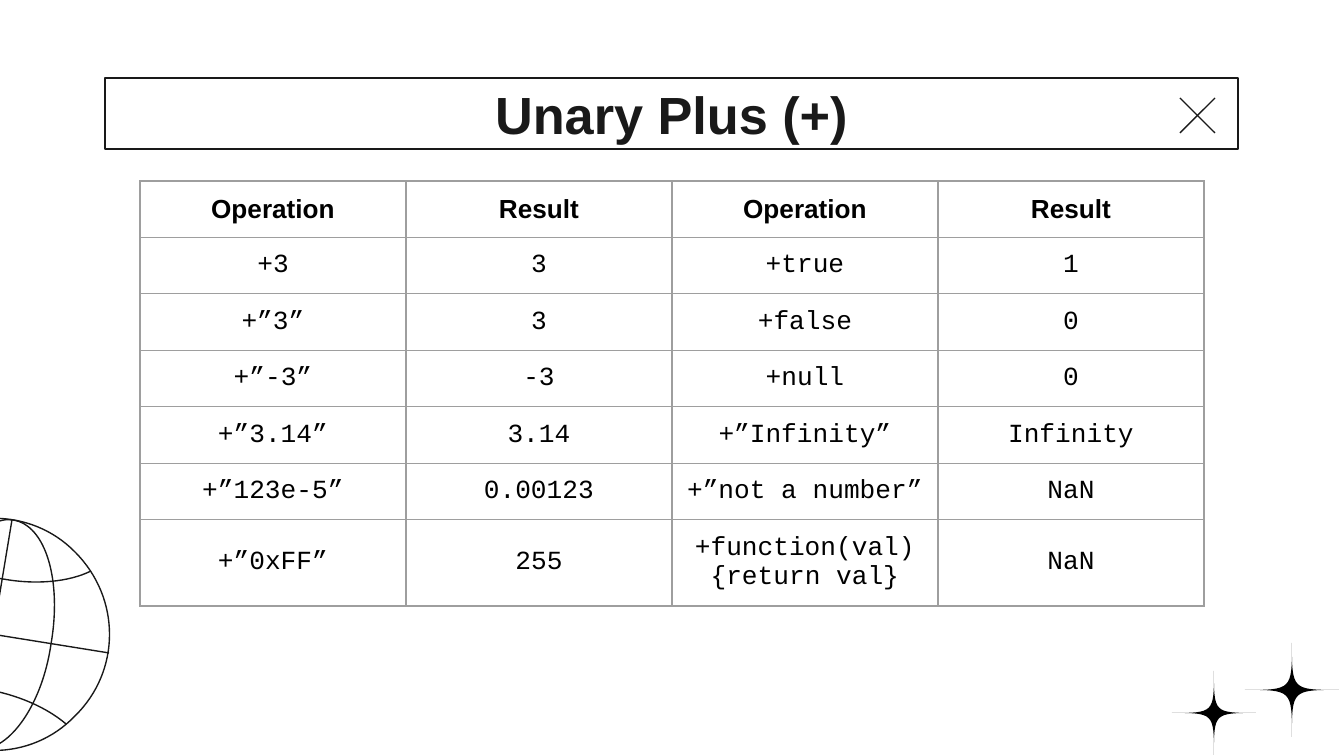
import lxml.etree
import pptx
import pptx.dml.color
import pptx.enum.shapes
import pptx.enum.text
import pptx.oxml.ns
import pptx.util

EMU_PER_PX = 914400 / 134.4
INK, BLACK, GRID = "191919", "000000", "9E9E9E"
SLIDE_WIDTH, SLIDE_HEIGHT = 1344, 756
COLUMN_WIDTH, ROW_HEIGHT, LAST_ROW_HEIGHT = 266, 56, 86
ROWS = [
    ["Operation", "Result", "Operation", "Result"],
    ["+3", "3", "+true", "1"],
    ["+”3”", "3", "+false", "0"],
    ["+”-3”", "-3", "+null", "0"],
    ["+”3.14”", "3.14", "+”Infinity”", "Infinity"],
    ["+”123e-5”", "0.00123", "+”not a number”", "NaN"],
    ["+”0xFF”", "255", "+function(val){return val}", "NaN"],
]
TITLE_FONT = {"name": "Arial", "size": pptx.util.Pt(28), "bold": True}
HEADER_FONT = {"name": "Arial", "size": pptx.util.Pt(14), "bold": True}
CODE_FONT = {"name": "Courier New", "size": pptx.util.Pt(14), "bold": False}
GLOBE_RIM = [
    (75, 552), (121, 598), (121, 671), (75, 716), (31, 762), (-43, 762), (-89, 716),
    (-134, 671), (-134, 598), (-89, 552), (-43, 507), (31, 507), (75, 552),
]
MERIDIAN = [
    (13, 520), (46, 525), (62, 581), (51, 644), (42, 707), (7, 754), (-24, 749),
    (-55, 743), (-71, 688), (-62, 625), (-51, 562), (-17, 515), (13, 520),
]
PARALLELS = [
    [(91, 571), (69, 582), (36, 585), (3, 579), (-31, 574), (-60, 560), (-79, 544)],
    [(-105, 696), (-81, 687), (-50, 684), (-16, 689), (19, 695), (47, 708), (66, 724)],
]


def px(length):
    return pptx.util.Emu(round(length * EMU_PER_PX))


def color(value):
    return pptx.dml.color.RGBColor.from_string(value)


class SlideBuilder:
    def __init__(self, slide, line_width=0.75):
        self.slide = slide
        self.line_width = pptx.util.Pt(line_width)
        self.inset = pptx.util.Inches(0.1)

    def outline(self, shape):
        shape.line.color.rgb = color(INK)
        shape.line.width = self.line_width

    def line(self, *ends):
        connector = self.slide.shapes.add_connector(
            pptx.enum.shapes.MSO_CONNECTOR.STRAIGHT, *map(px, ends))
        self.outline(connector)
        lxml.etree.SubElement(
            connector._element.spPr, pptx.oxml.ns.qn("a:effectLst"))

    def curve(self, controls, fill=None):
        points = [(px(x), px(y)) for x, y in controls]
        builder = self.slide.shapes.build_freeform(*points[0], scale=1.0)
        builder.add_line_segments(points[1:], close=points[0] == points[-1])
        shape = builder.convert_to_shape()
        self.bend(shape)
        shape.shadow.inherit = False
        if fill:
            shape.fill.solid()
            shape.fill.fore_color.rgb = color(fill)
            shape.line.fill.background()
        else:
            shape.fill.background()
            self.outline(shape)

    def bend(self, shape):
        segments = shape._element.xpath(".//a:lnTo")
        for first in range(0, len(segments), 3):
            bezier = lxml.etree.Element(pptx.oxml.ns.qn("a:cubicBezTo"))
            segments[first].addprevious(bezier)
            for segment in segments[first:first + 3]:
                bezier.append(segment[0])
                segment.getparent().remove(segment)

    def star(self, x, y, radius):
        center = (x, y)
        tips = [(x, y - radius), (x - radius, y), (x, y + radius), (x + radius, y)]
        controls = [tips[0]]
        for tip in tips[1:] + tips[:1]:
            controls += [center, center, tip]
        self.curve(controls, BLACK)

    def text(self, frame, wording, font, ink):
        frame.word_wrap = True
        para = frame.paragraphs[0]
        para.alignment = pptx.enum.text.PP_ALIGN.CENTER
        span = para.add_run()
        span.text = wording
        for name, value in font.items():
            setattr(span.font, name, value)
        span.font.color.rgb = color(ink)

    def set_margins(self, holder):
        for side in ("left", "top", "right", "bottom"):
            setattr(holder, f"margin_{side}", self.inset)
        holder.vertical_anchor = pptx.enum.text.MSO_ANCHOR.MIDDLE

    def title(self, wording, left, top, width, height):
        box = self.slide.shapes.add_shape(
            pptx.enum.shapes.MSO_SHAPE.RECTANGLE,
            px(left), px(top), px(width), px(height))
        box.shadow.inherit = False
        box.fill.background()
        self.outline(box)
        self.set_margins(box.text_frame)
        self.text(box.text_frame, wording, TITLE_FONT, INK)

    def borders(self, cell):
        properties = cell._tc.get_or_add_tcPr()
        for index, side in enumerate(("lnL", "lnR", "lnT", "lnB")):
            border = lxml.etree.Element(
                pptx.oxml.ns.qn(f"a:{side}"), w=str(self.line_width))
            fill = lxml.etree.SubElement(border, pptx.oxml.ns.qn("a:solidFill"))
            lxml.etree.SubElement(fill, pptx.oxml.ns.qn("a:srgbClr"), val=GRID)
            properties.insert(index, border)

    def table(self, rows, left, top):
        heights = [ROW_HEIGHT] * (len(rows) - 1) + [LAST_ROW_HEIGHT]
        columns = len(rows[0])
        table = self.slide.shapes.add_table(
            len(rows), columns, px(left), px(top),
            px(columns * COLUMN_WIDTH), px(sum(heights))).table
        table.first_row = table.horz_banding = False
        for column in table.columns:
            column.width = px(COLUMN_WIDTH)
        for row_index, wordings in enumerate(rows):
            table.rows[row_index].height = px(heights[row_index])
            font = CODE_FONT if row_index else HEADER_FONT
            for column_index, wording in enumerate(wordings):
                cell = table.cell(row_index, column_index)
                cell.fill.background()
                self.set_margins(cell)
                self.borders(cell)
                self.text(cell.text_frame, wording, font, BLACK)


def main():
    deck = pptx.Presentation()
    deck.slide_width, deck.slide_height = px(SLIDE_WIDTH), px(SLIDE_HEIGHT)
    page = SlideBuilder(deck.slides.add_slide(deck.slide_layouts[6]))

    page.star(1292, 690, 47)
    page.star(1214, 713, 42)

    page.curve(GLOBE_RIM)
    page.line(-26, 749, 12, 520)
    page.line(-121, 616, 109, 653)
    page.curve(MERIDIAN)
    for parallel in PARALLELS:
        page.curve(parallel)

    page.title("Unary Plus (+)", 105, 78, 1133, 71)
    page.line(1180, 98, 1215, 133)
    page.line(1180, 133, 1215, 98)
    page.table(ROWS, 140, 181)

    deck.save("out.pptx")


if __name__ == "__main__":
    main()
